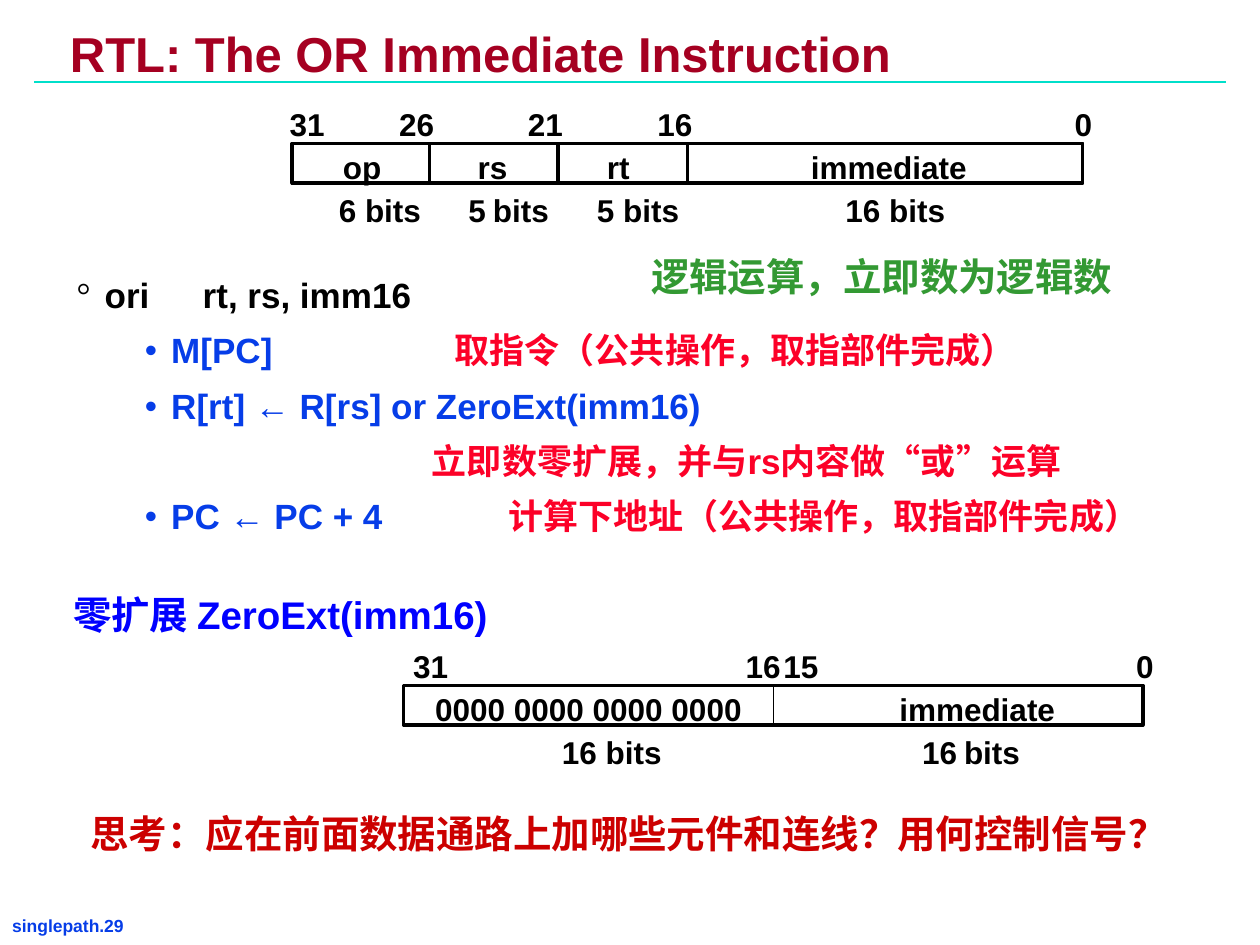
from dataclasses import dataclass

from lxml.etree import SubElement
from pptx import Presentation
from pptx.dml.color import RGBColor
from pptx.enum.shapes import MSO_CONNECTOR as Connector, MSO_SHAPE as Preset
from pptx.enum.text import MSO_AUTO_SIZE as AutoSize, PP_ALIGN as Align
from pptx.oxml.ns import qn
from pptx.util import Pt

COLORS = {
    "black": "000000", "title": "A50021", "rule": "00DFCA", "code": "063DE8",
    "comment": "FC0128", "heading": "0000FF", "note": "339933", "question": "CC0000",
}
LABEL_HEIGHT = 28.8


@dataclass
class Label:
    text: str
    left: float
    width: float
    thin_space: bool = False


@dataclass
class Register:
    left: float
    top: float
    width: float
    cells: list[tuple[float, float]]  # left, width
    bit_numbers: list[Label]
    names: list[Label]
    sizes: list[Label]


@dataclass
class Step:
    code: str
    comment: str = ""
    bullet: str = "•"
    bullet_font: str = "Arial"
    color: str = "code"
    margin: float = 54
    hanging: float = 15
    tab: float = 0


def rgb(name: str) -> RGBColor:
    return RGBColor.from_string(COLORS[name])


def add_run(paragraph, text: str, *, size: float, color: str = "black",
            font: str = "Arial", bold: bool = True) -> None:
    run = paragraph.add_run()
    run.text = text
    run.font.size, run.font.name, run.font.bold = Pt(size), font, bold
    run.font.color.rgb = rgb(color)


def add_frame(slide, left: float, top: float, width: float, height: float, *,
              wrap: bool = True, grow: bool = True, tight: bool = False):
    frame = slide.shapes.add_textbox(Pt(left), Pt(top), Pt(width), Pt(height)).text_frame
    frame.word_wrap = wrap
    frame.auto_size = AutoSize.SHAPE_TO_FIT_TEXT if grow else AutoSize.NONE
    frame.margin_left = frame.margin_right = Pt(5 if tight else 7.2)
    frame.margin_top = frame.margin_bottom = Pt(2 if tight else 3.6)
    return frame


def add_line_of_text(slide, text: str, left: float, top: float, width: float,
                     height: float, *, size: float, color: str, font: str = "Arial",
                     wrap: bool = True, tight: bool = False, before: float = 0,
                     spacing: float = 1.0, align=Align.LEFT) -> None:
    frame = add_frame(slide, left, top, width, height, wrap=wrap, tight=tight)
    paragraph = frame.paragraphs[0]
    paragraph.alignment, paragraph.line_spacing = align, spacing
    paragraph.space_before = Pt(before)
    add_run(paragraph, text, size=size, color=color, font=font)


def add_label(slide, label: Label, top: float) -> None:
    frame = add_frame(slide, label.left, top, label.width, LABEL_HEIGHT, wrap=False)
    paragraph = frame.paragraphs[0]
    if label.thin_space:
        number, unit = label.text.split()
        add_run(paragraph, number, size=18)
        add_run(paragraph, " ", size=16, font="Times New Roman", bold=False)
        add_run(paragraph, unit, size=18)
    else:
        add_run(paragraph, label.text, size=18)


def add_box(slide, left: float, top: float, width: float, height: float,
            line_width: float) -> None:
    box = slide.shapes.add_shape(Preset.RECTANGLE, Pt(left), Pt(top), Pt(width), Pt(height))
    box.shadow.inherit = False
    box.fill.background()
    box.line.color.rgb = rgb("black")
    box.line.width = Pt(line_width)


def add_register(slide, register: Register) -> None:
    add_box(slide, register.left, register.top, register.width, 22.5, 2)
    for left, width in register.cells:
        add_box(slide, left, register.top - 0.5, width, 23.5, 1)
    rows = ((register.bit_numbers, -25.5), (register.names, -0.8), (register.sizes, 23.4))
    for labels, offset in rows:
        for label in labels:
            add_label(slide, label, register.top + offset)


def add_step(paragraph, step: Step) -> None:
    paragraph.line_spacing, paragraph.space_before = 0.95, Pt(8.8)
    properties = paragraph._p.get_or_add_pPr()
    properties.set("marL", str(Pt(step.margin)))
    properties.set("indent", str(Pt(-step.hanging)))
    if step.bullet:
        bullet_color = SubElement(properties, qn("a:buClr"))
        SubElement(bullet_color, qn("a:srgbClr"), val=COLORS[step.color])
        SubElement(properties, qn("a:buFont"), typeface=step.bullet_font)
        SubElement(properties, qn("a:buChar"), char=step.bullet)
    if step.tab:
        tabs = SubElement(properties, qn("a:tabLst"))
        SubElement(tabs, qn("a:tab"), pos=str(Pt(step.tab)), algn="l")
    if step.code:
        add_run(paragraph, step.code, size=20, color=step.color)
    if step.comment:
        add_run(paragraph, step.comment, size=20, color="comment")


INSTRUCTION = Register(
    167, 82, 451.5,
    cells=[(166.5, 78.5), (245.5, 73), (319.5, 73), (393, 226)],
    bit_numbers=[Label("31", 158.4, 34.6), Label("26", 221, 34.6), Label("21", 294.5, 34.6),
                 Label("16", 368.6, 34.6), Label("0", 607, 24.5)],
    names=[Label("op", 188.9, 38), Label("rs", 265.9, 33), Label("rt", 339.8, 28),
           Label("immediate", 456.3, 104)],
    sizes=[Label("6 bits", 186.5, 62), Label("5 bits", 260.6, 61, thin_space=True),
           Label("5 bits", 334, 62), Label("16 bits", 476, 72)],
)
EXTENDED = Register(
    230.6, 391.7, 422.6,
    cells=[(442, 211)],
    bit_numbers=[Label("31", 229, 34.6), Label("16", 419, 34.6), Label("15", 440.6, 34.6),
                 Label("0", 642.2, 24.5)],
    names=[Label("0000 0000 0000 0000", 241.5, 190), Label("immediate", 506.8, 104)],
    sizes=[Label("16 bits", 314, 72), Label("16 bits", 519.8, 71, thin_space=True)],
)
STEPS = [
    Step("ori\trt, rs, imm16", bullet="°", bullet_font="Times New Roman", color="black",
         margin=16, hanging=16, tab=72),
    Step("M[PC]\t", "取指令（公共操作，取指部件完成）", tab=216),
    Step("R[rt] ← R[rs] or ZeroExt(imm16)"),
    Step("", "立即数零扩展，并与rs内容做“或”运算", bullet="", margin=203, hanging=0),
    Step("PC ← PC + 4\t", "计算下地址（公共操作，取指部件完成）", tab=246.5),
]


def main() -> None:
    presentation = Presentation()
    presentation.slide_width, presentation.slide_height = Pt(720), Pt(540)
    slide = presentation.slides.add_slide(presentation.slide_layouts[6])

    # Title, rule and page label
    add_line_of_text(slide, "RTL: The OR Immediate Instruction", 35, 15.8, 529, 33,
                     size=28, color="title", tight=True, spacing=0.87)
    rule = slide.shapes.add_connector(Connector.STRAIGHT, Pt(19.5), Pt(46.8), Pt(700.5), Pt(46.8))
    rule.line.color.rgb = rgb("rule")
    rule.line.width = Pt(1.5)
    SubElement(rule._element.spPr, qn("a:effectLst"))
    add_line_of_text(slide, "singlepath.29", 2, 520.8, 111, 16, size=10, color="code",
                     wrap=False, tight=True)

    # Transfer steps
    body = add_frame(slide, 38.9, 156, 645, 165, grow=False, tight=True)
    for index, step in enumerate(STEPS):
        add_step(body.add_paragraph() if index else body.paragraphs[0], step)

    # Register layouts
    add_register(slide, INSTRUCTION)
    add_register(slide, EXTENDED)

    # Heading, remark and question
    add_line_of_text(slide, "零扩展 ZeroExt(imm16)", 28.2, 334, 264, 34, size=22,
                     color="heading", align=Align.CENTER)
    add_line_of_text(slide, "逻辑运算，立即数为逻辑数", 365, 141, 293, 34, size=22,
                     color="note", font="Times New Roman", before=13.8)
    add_line_of_text(slide, "思考：应在前面数据通路上加哪些元件和连线？用何控制信号？",
                     44.6, 459.4, 675.4, 34, size=22, color="question", before=13.8)

    presentation.save("out.pptx")


if __name__ == "__main__":
    main()
